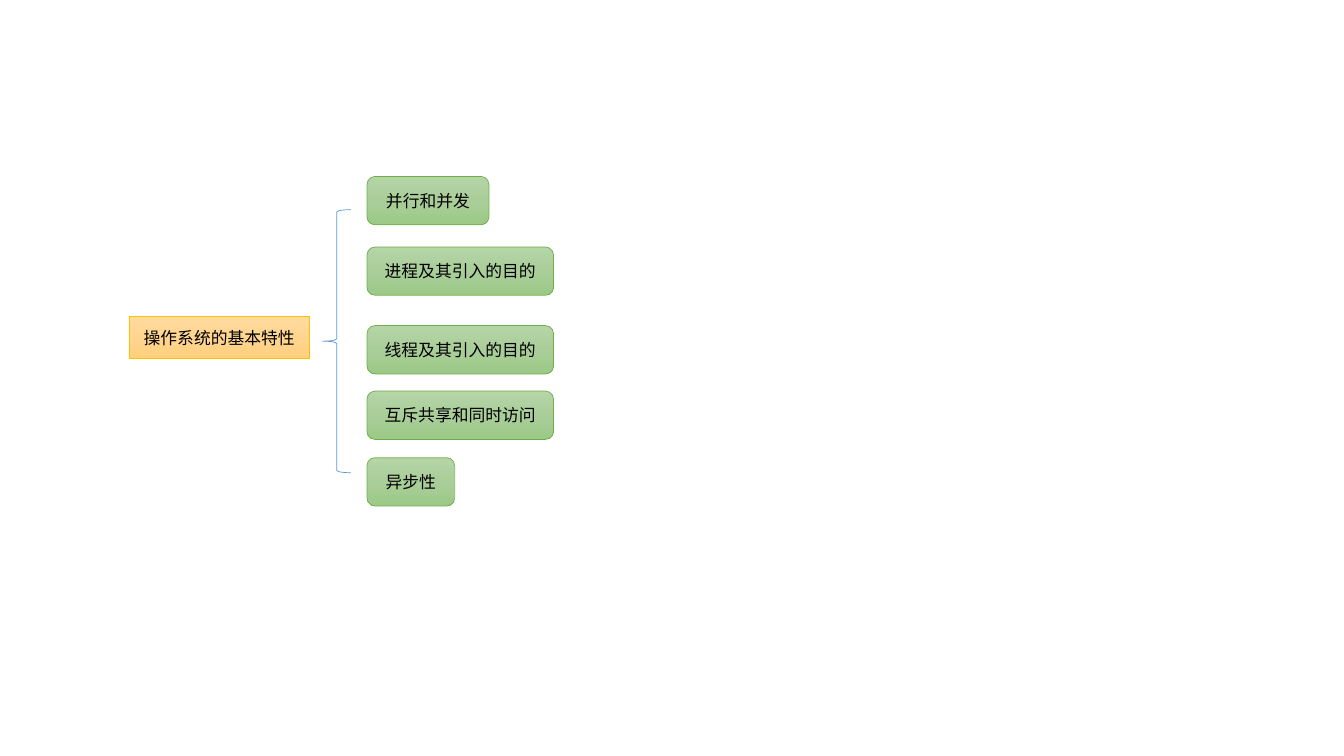
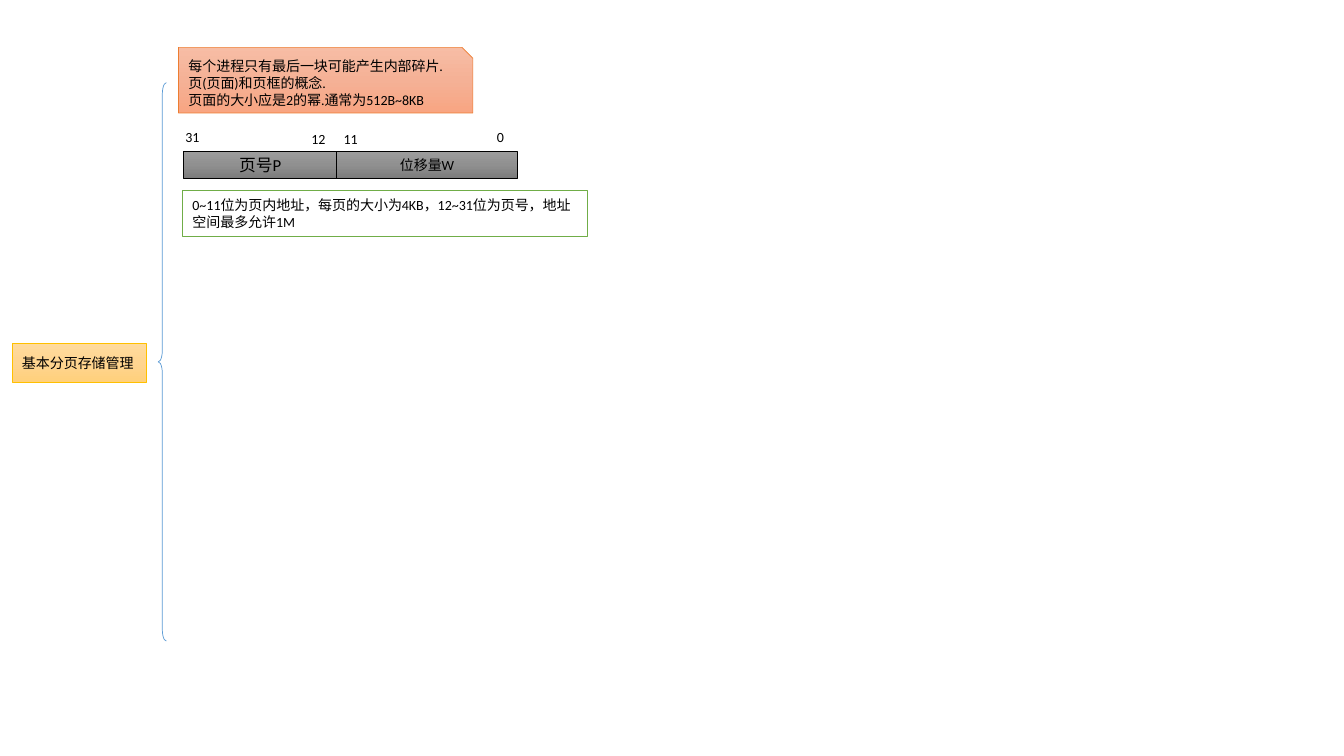
from copy import deepcopy
from pptx import Presentation
from pptx.dml.color import RGBColor
from pptx.enum.shapes import MSO_SHAPE
from pptx.enum.text import MSO_ANCHOR, MSO_AUTO_SIZE, PP_ALIGN
from pptx.oxml.ns import qn
from pptx.util import Inches, Pt

COLORS = {
    "black": "000000", "white": "FFFFFF", "blue": "5B9BD5",
    "gold": "FFC000", "green": "70AD47", "orange": "ED7D31",
}
FADES = {
    "gold": ("FFDB9E", "FFD590", "FFD07C"),
    "green": ("B5D5A7", "AACE9A", "9CC987"),
    "orange": ("F7BDA5", "F5B196", "F8A582"),
    "black": ("9D9D9D", "909090", "7C7C7C"),
}
FRAME = {"word_wrap": True, "vertical_anchor": MSO_ANCHOR.MIDDLE}
LABEL = {"word_wrap": True, "auto_size": MSO_AUTO_SIZE.SHAPE_TO_FIT_TEXT}


def apply(target, values):
    """Set each named value on the target."""
    for name, value in values.items():
        setattr(target, name, value)


def write(shape, text, size, font, align, frame):
    """Fill a shape with text, one paragraph a line."""
    apply(shape.text_frame, frame)
    shape.text_frame.text = text
    for para in shape.text_frame.paragraphs:
        para.alignment = align
        apply(para.font, {"size": Pt(size), "name": font})
        para.font.color.rgb = RGBColor.from_string(COLORS["black"])


def fade(shape, stops):
    """Fill a shape with evenly spaced colours from top to bottom."""
    shape.fill.gradient()
    shape.fill.gradient_angle = 270
    holder = shape.element.spPr.find(qn("a:gradFill")).find(qn("a:gsLst"))
    holder.insert(1, deepcopy(holder[0]))
    for place, (stop, color) in enumerate(zip(shape.fill.gradient_stops, stops)):
        stop.position = place / (len(stops) - 1)
        stop.color.rgb = RGBColor.from_string(color)


def outline(slide, kind, box, color, width=0.5):
    """Add a preset shape with a thin line and no shadow."""
    shape = slide.shapes.add_shape(kind, *map(Inches, box))
    shape.shadow.inherit = False
    shape.line.color.rgb = RGBColor.from_string(COLORS[color])
    shape.line.width = Pt(width)
    return shape


def brace(slide, box, curve=None):
    """Add an open left brace."""
    shape = outline(slide, MSO_SHAPE.LEFT_BRACE, box, "blue")
    shape.fill.background()
    if curve is not None:
        shape.adjustments[0] = curve


def block(slide, box, text, color, size=10, font="Calibri",
          kind=MSO_SHAPE.RECTANGLE, align=PP_ALIGN.CENTER):
    """Add a shaded box with text."""
    shape = outline(slide, kind, box, color)
    fade(shape, FADES[color])
    write(shape, text, size, font, align, FRAME)


def note(slide, box, text):
    """Add a white note with a green border."""
    shape = outline(slide, MSO_SHAPE.RECTANGLE, box, "green", 1)
    shape.fill.solid()
    shape.fill.fore_color.rgb = RGBColor.from_string(COLORS["white"])
    write(shape, text, 10, "Calibri", PP_ALIGN.LEFT, FRAME)


def label(slide, left, top, text):
    """Add a bit number."""
    box = slide.shapes.add_textbox(*map(Inches, (left, top, 0.43, 0.27)))
    write(box, text, 10, "Calibri", PP_ALIGN.LEFT, LABEL)


def traits(slide):
    """Build the tree of system traits."""
    block(slide, (1.28, 3.14, 1.79, 0.42), "操作系统的基本特性", "gold", 12)
    brace(slide, (3.2, 2.08, 0.28, 2.61))
    for top, width, text in (
        (1.75, 1.21, "并行和并发"),
        (2.45, 1.85, "进程及其引入的目的"),
        (3.23, 1.85, "线程及其引入的目的"),
        (3.88, 1.85, "互斥共享和同时访问"),
        (4.54, 0.87, "异步性"),
    ):
        block(slide, (3.64, top, width, 0.48), text, "green", 12, "Cambria",
              MSO_SHAPE.ROUNDED_RECTANGLE)


def paging(slide):
    """Build the notes on paged storage."""
    brace(slide, (1.57, 0.82, 0.08, 5.54), 1.41)
    block(slide, (0.12, 3.41, 1.33, 0.38), "基本分页存储管理", "gold",
          align=PP_ALIGN.LEFT)
    facts = ("每个进程只有最后一块可能产生内部碎片.", "页(页面)和页框的概念.",
             "页面的大小应是2的幂.通常为512B~8KB")
    block(slide, (1.77, 0.47, 2.92, 0.65), "\n".join(facts), "orange",
          kind=MSO_SHAPE.SNIP_1_RECTANGLE, align=PP_ALIGN.LEFT)
    left = 1.82
    for width, text, size in ((1.52, "页号P", 12), (1.79, "位移量W", 10)):
        block(slide, (left, 1.5, width, 0.27), text, "black", size)
        left += width
    for left, top, text in ((1.74, 1.23, "31"), (2.99, 1.25, "12"),
                            (3.31, 1.25, "11"), (4.83, 1.23, "0")):
        label(slide, left, top, text)
    note(slide, (1.81, 1.89, 4.02, 0.46),
         "0~11位为页内地址，每页的大小为4KB，12~31位为页号，地址空间最多允许1M")


def main():
    """Build and save the slides."""
    deck = Presentation()
    apply(deck, {"slide_width": Inches(13.33), "slide_height": Inches(7.5)})
    for build in (traits, paging):
        build(deck.slides.add_slide(deck.slide_layouts[6]))
    deck.save("out.pptx")


main()
